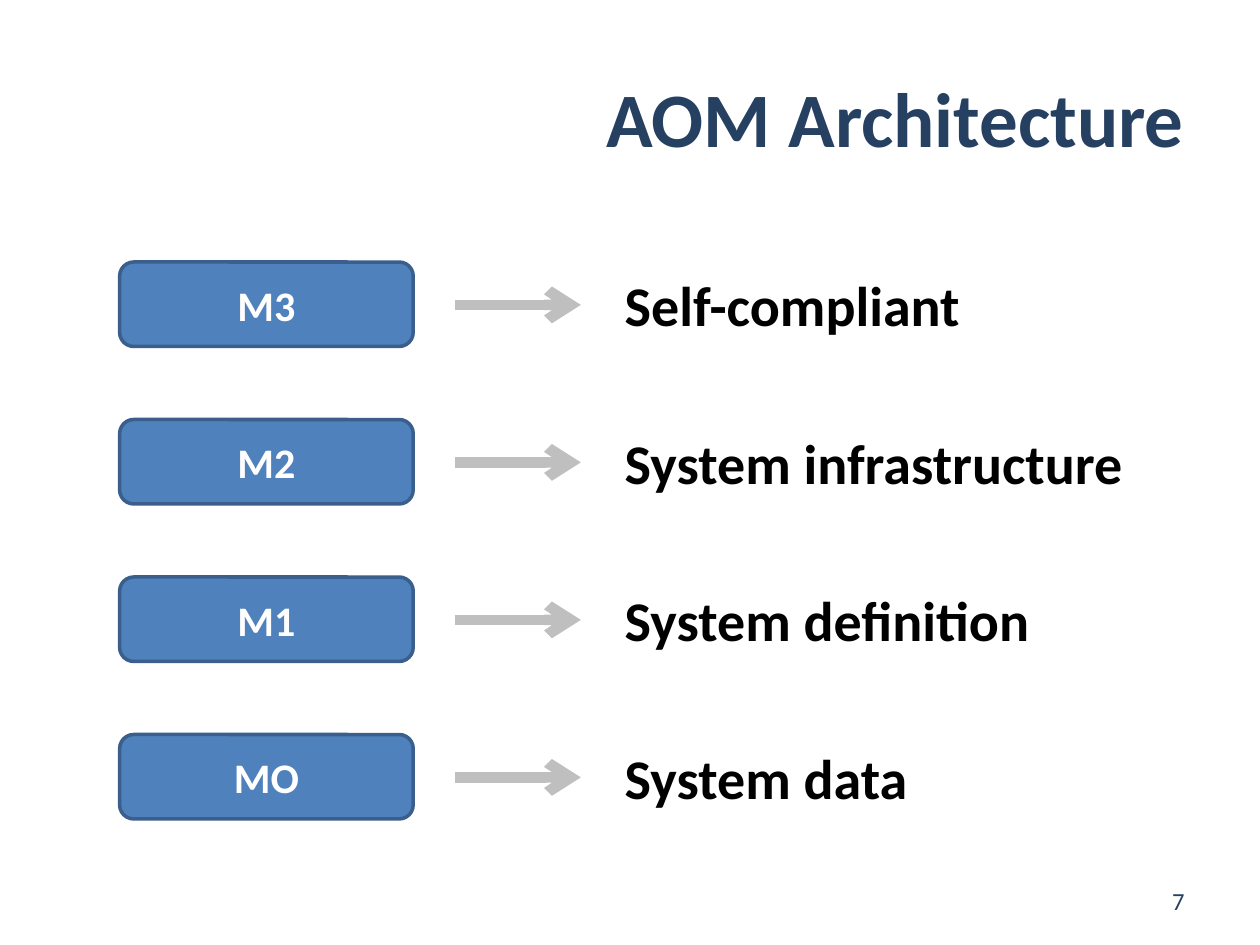
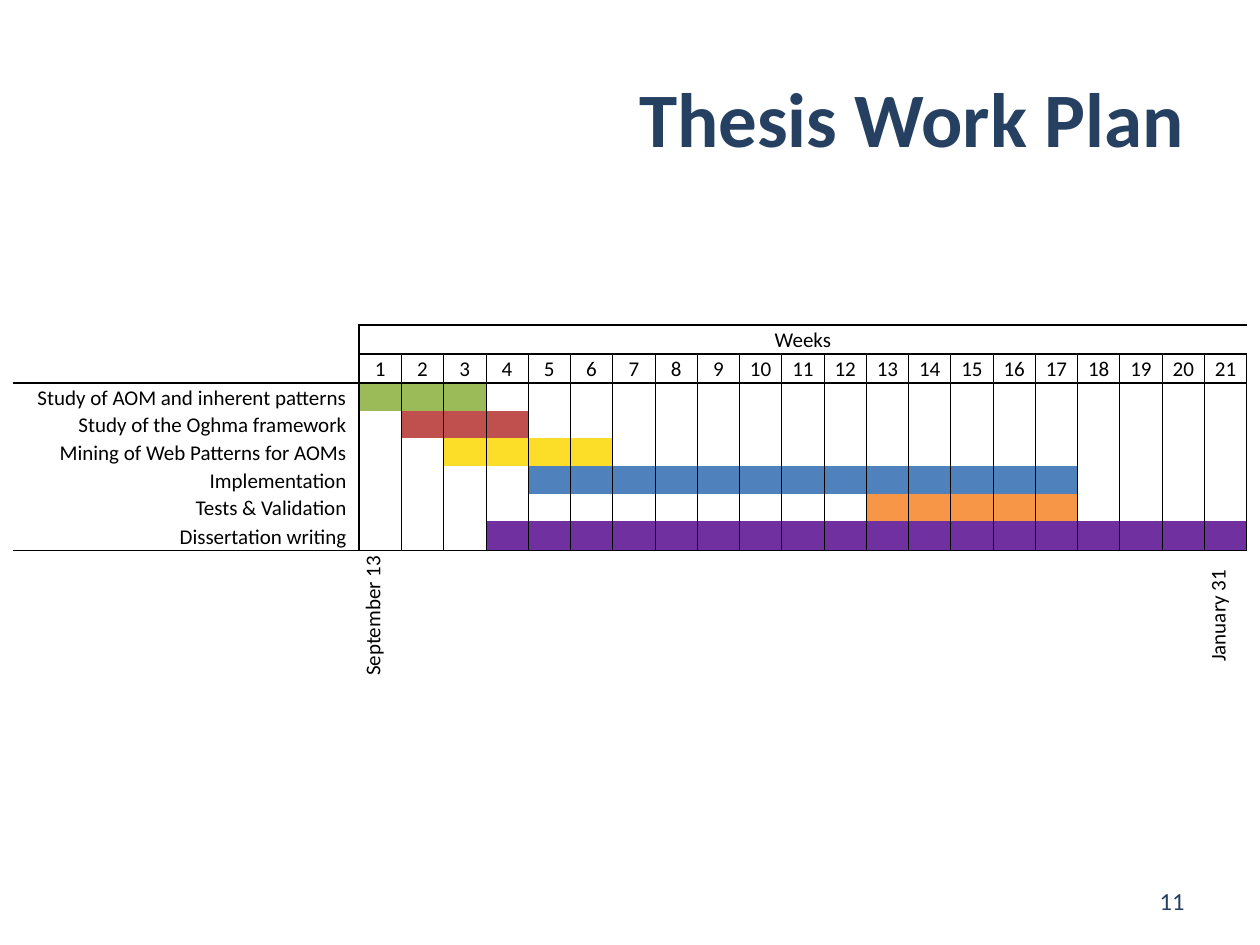
from lxml import etree
from pptx import Presentation
from pptx.dml.color import RGBColor
from pptx.enum.shapes import MSO_CONNECTOR, MSO_SHAPE
from pptx.enum.text import MSO_ANCHOR, MSO_AUTO_SIZE, PP_ALIGN
from pptx.oxml.ns import qn
from pptx.util import Inches, Pt

LEFT, MID, RIGHT = PP_ALIGN.LEFT, PP_ALIGN.CENTER, PP_ALIGN.RIGHT
TOP, HALF, BASE = MSO_ANCHOR.TOP, MSO_ANCHOR.MIDDLE, MSO_ANCHOR.BOTTOM
ROUND = MSO_SHAPE.ROUNDED_RECTANGLE
LINE = MSO_CONNECTOR.STRAIGHT
GROW = MSO_AUTO_SIZE.SHAPE_TO_FIT_TEXT

NAVY = RGBColor(0x25, 0x40, 0x61)
BLUE = RGBColor(0x4F, 0x81, 0xBD)
EDGE = RGBColor(0x3A, 0x5F, 0x8C)
GRAY = RGBColor(0xBF, 0xBF, 0xBF)
BLACK = RGBColor(0, 0, 0)
WHITE = RGBColor(0xFF, 0xFF, 0xFF)
GREEN = RGBColor(0x9B, 0xBB, 0x59)
RED = RGBColor(0xC0, 0x50, 0x4D)
GOLD = RGBColor(0xFC, 0xDE, 0x28)
AMBER = RGBColor(0xF7, 0x96, 0x46)
PLUM = RGBColor(0x70, 0x30, 0xA0)

FONT = "Calibri"
WEEKS = 21

LEVELS = [
    ("M3", "Self-compliant", 2.9),
    ("M2", "System infrastructure", 4.19),
    ("M1", "System definition", 3.45),
    ("MO", "System data", 2.51),
]

TASKS = [
    ("Study of AOM and inherent patterns", 1, 3, GREEN),
    ("Study of the Oghma framework", 2, 4, RED),
    ("Mining of Web Patterns for AOMs", 3, 6, GOLD),
    ("Implementation", 5, 17, BLUE),
    ("Tests & Validation", 13, 17, AMBER),
    ("Dissertation writing", 4, 21, PLUM),
]

HEAD = 2
FOOT = HEAD + len(TASKS)


class Deck:
    def __init__(self):
        self.prs = Presentation()
        self.prs.slide_width = Inches(10)
        self.prs.slide_height = Inches(7.5)
        self.slide = None

    def page(self, title, num):
        self.slide = self.prs.slides.add_slide(self.prs.slide_layouts[6])
        shapes = self.slide.shapes
        self.text(shapes, (0.5, 0.3, 9, 1.25), title, 44, NAVY, True, RIGHT, HALF)
        self.text(shapes, (7.17, 6.95, 2.33, 0.4), num, 14, NAVY, False, RIGHT, HALF)

    def put(self, frame, words, size, color, bold=False, align=LEFT):
        para = frame.paragraphs[0]
        para.alignment = align
        run = para.add_run()
        run.text = words
        font = run.font
        font.name, font.size, font.bold = FONT, Pt(size), bold
        font.color.rgb = color

    def text(self, shapes, box, words, size, color, bold, align=LEFT,
             anchor=TOP, wrap=True):
        frame = shapes.add_textbox(*map(Inches, box)).text_frame
        frame.word_wrap = wrap
        if not wrap:
            frame.auto_size = GROW
        frame.vertical_anchor = anchor
        self.put(frame, words, size, color, bold, align)

    def block(self, shapes, box, words):
        shape = shapes.add_shape(ROUND, *map(Inches, box))
        shape.shadow.inherit = False
        shape.fill.solid()
        shape.fill.fore_color.rgb = BLUE
        shape.line.color.rgb = EDGE
        shape.line.width = Pt(2)
        shape.text_frame.vertical_anchor = HALF
        self.put(shape.text_frame, words, 24, WHITE, True, MID)

    def arrow(self, shapes, left, right, y):
        link = shapes.add_connector(LINE, *map(Inches, (left, y, right, y)))
        link.line.color.rgb = GRAY
        link.line.width = Pt(6)
        props = link._element.spPr
        tip = etree.SubElement(props.find(qn("a:ln")), qn("a:tailEnd"))
        tip.set("type", "arrow")
        etree.SubElement(props, qn("a:effectLst"))

    def level(self, y, name, words, width):
        shapes = self.slide.shapes.add_group_shape().shapes
        self.block(shapes, (0.95, y, 2.33, 0.67), name)
        self.arrow(shapes, 3.61, 4.61, y + 0.34)
        self.text(shapes, (4.86, y + 0.02, width, 0.64), words, 32, BLACK,
                  True, wrap=False)

    def grid(self, box, cols, rows):
        frame = self.slide.shapes.add_table(len(rows), len(cols), *map(Inches, box))
        table = frame.table
        table.first_row = table.horz_banding = False
        for col, width in zip(table.columns, cols):
            col.width = Inches(width)
        for row, height in zip(table.rows, rows):
            row.height = Inches(height)
        return table

    def cell(self, cell, words, align, anchor, fill, edges):
        cell.margin_left = cell.margin_top = Inches(0.01)
        cell.margin_right = Inches(0.1 if align == RIGHT else 0.01)
        cell.margin_bottom = 0
        cell.vertical_anchor = anchor
        if fill is None:
            cell.fill.background()
        else:
            cell.fill.solid()
            cell.fill.fore_color.rgb = fill
        if words:
            self.put(cell.text_frame, words, 12, BLACK, False, align)
        else:
            end = etree.SubElement(cell.text_frame.paragraphs[0]._p,
                                   qn("a:endParaRPr"))
            end.set("sz", "1200")
        props = cell._tc.get_or_add_tcPr()
        for spot, (side, width) in enumerate(zip("LRTB", edges)):
            line = etree.Element(qn("a:ln" + side))
            if width:
                line.set("w", str(Pt(width)))
                paint = etree.SubElement(line, qn("a:solidFill"))
                etree.SubElement(paint, qn("a:srgbClr")).set("val", str(BLACK))
            else:
                etree.SubElement(line, qn("a:noFill"))
            props.insert(spot, line)


def upright(row, x):
    if row == FOOT or x == 0:
        return 0
    if x in (1, WEEKS + 1):
        return 1
    return 0.5 if row else 0


def across(col, y):
    if y in (HEAD, FOOT):
        return 1
    return 1 if y < HEAD and col else 0


def label(row, col):
    if row == 0:
        return "Weeks" if col == 1 else ""
    if row == 1:
        return str(col) if col else ""
    if row == FOOT:
        return {1: "September 13", WEEKS: "January 31"}.get(col, "")
    return "" if col else TASKS[row - HEAD][0]


def shade(row, col):
    if HEAD <= row < FOOT:
        _, start, stop, color = TASKS[row - HEAD]
        if start <= col <= stop:
            return color
    return None


def plan(deck):
    cols = [2.75] + [7.05 / WEEKS] * WEEKS
    rows = [0.23, 0.23] + [0.22] * 5 + [0.23, 1.04]
    table = deck.grid((0.1, 2.58, 9.8, 2.83), cols, rows)
    table.cell(0, 1).merge(table.cell(0, WEEKS))
    for row in range(len(rows)):
        for col in range(len(cols)):
            cell = table.cell(row, col)
            edges = (upright(row, col), upright(row, col + 1),
                     across(col, row), across(col, row + 1))
            align, anchor = (MID, HALF) if col else (RIGHT, BASE)
            deck.cell(cell, label(row, col), align, anchor, shade(row, col), edges)
            if row == FOOT and label(row, col):
                cell._tc.get_or_add_tcPr().set("vert", "vert270")


deck = Deck()
deck.page("AOM Architecture", "7")
for rank, (name, words, width) in enumerate(LEVELS):
    deck.level(2.08 + 1.25 * rank, name, words, width)
deck.page("Thesis Work Plan", "11")
plan(deck)
deck.prs.save("out.pptx")
